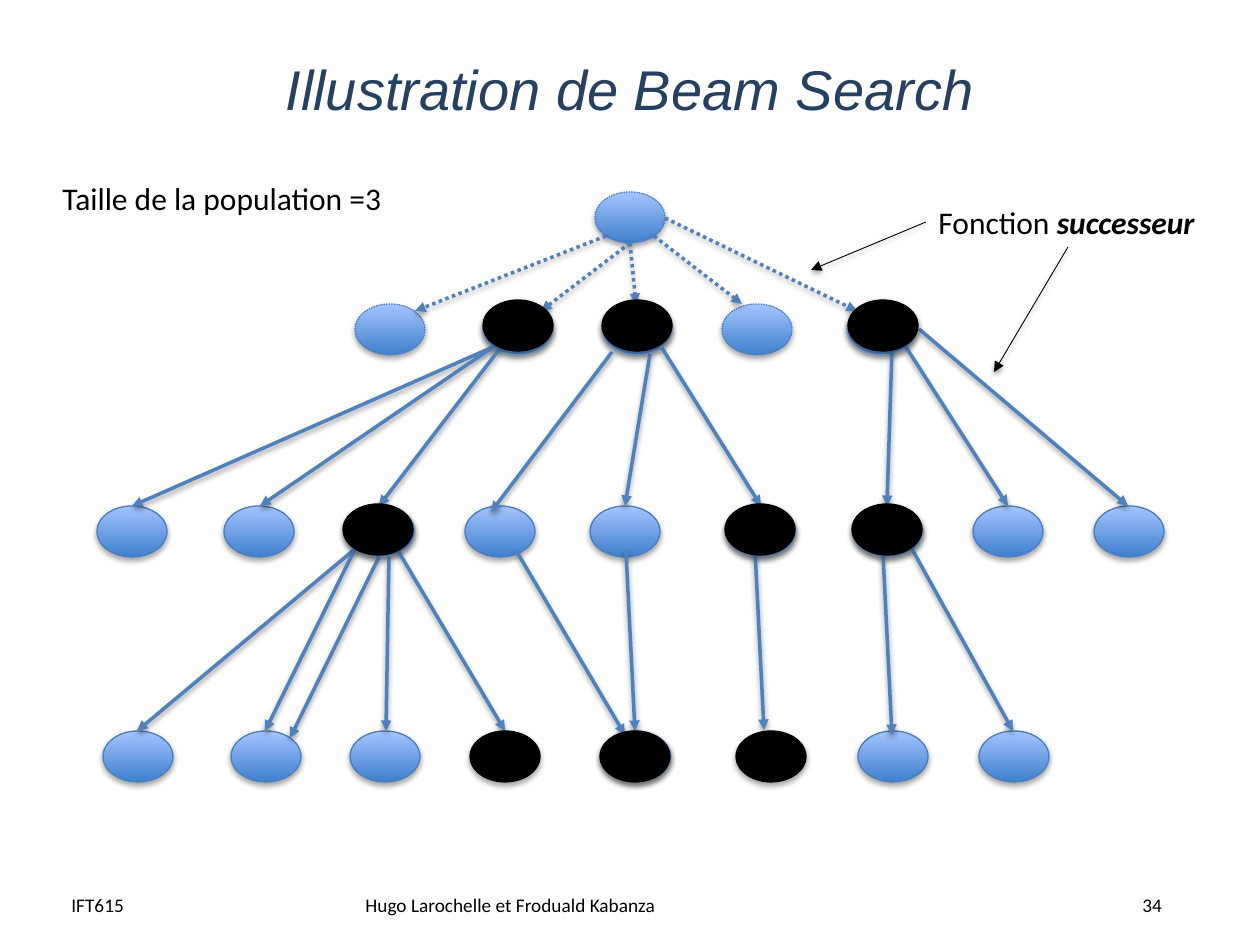
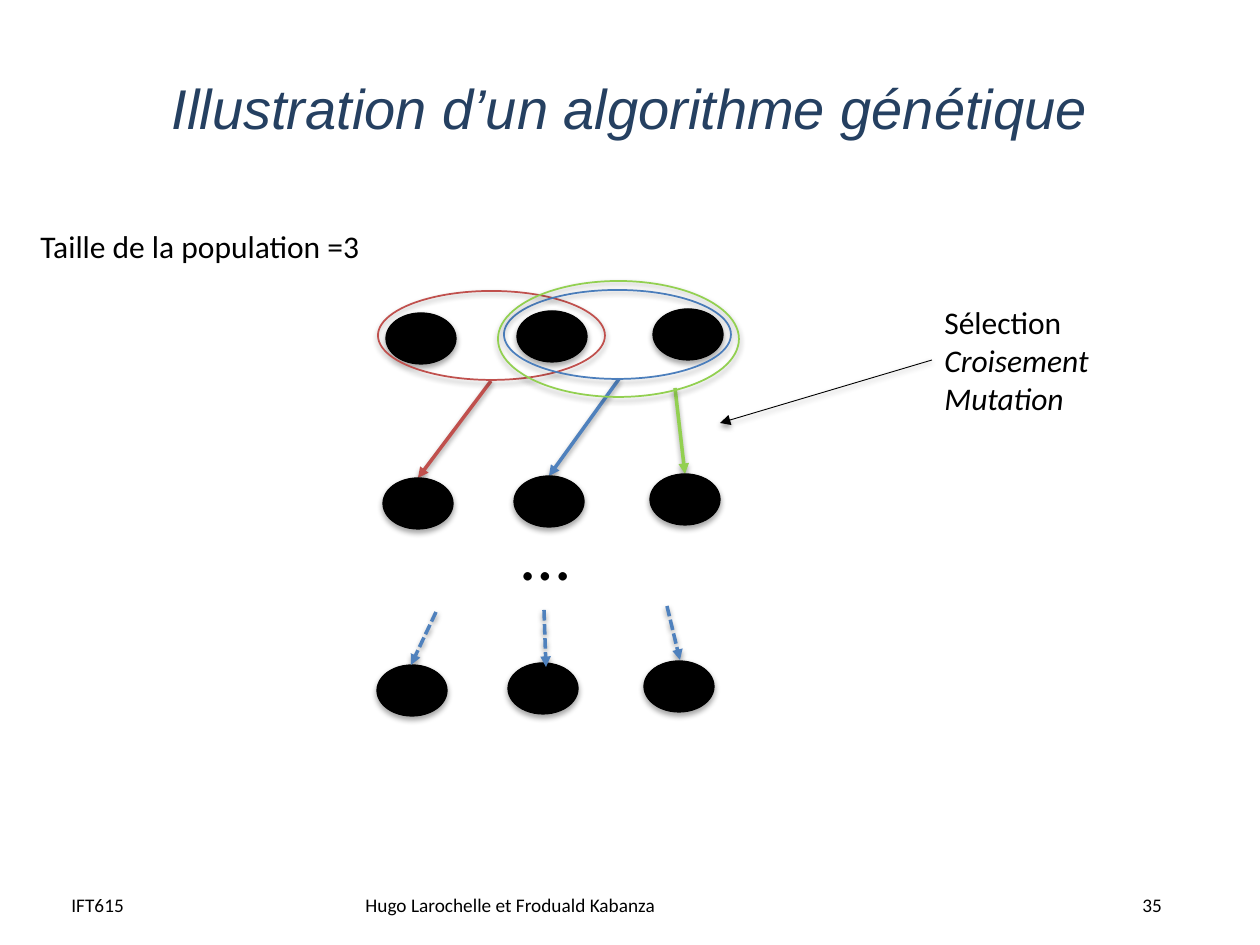
import lxml.etree
import pptx
import pptx.dml.color
import pptx.enum.dml
import pptx.enum.shapes
import pptx.enum.text
import pptx.oxml.ns
import pptx.util

PX_PER_INCH = 126
NODE_W, NODE_H = 70, 51
BLACK, NAVY, EDGE, RIM = "000000", "254061", "4F81BD", "4B7EBC"
RED, GREEN, MID, MID_RIM = "C0504D", "92D050", "558ED5", "8EB4E3"
GRADIENT = ("3F80CE", "A4C4FF")
DOT = pptx.enum.dml.MSO_LINE.ROUND_DOT
DASH = pptx.enum.dml.MSO_LINE.SQUARE_DOT
POPULATION = "Taille de la population =3"

SOFT_NODES = [(112, (258, 625)), (314, (0, 127, 368, 493, 876, 997)),
              (539, (6, 134, 253, 761, 882))]
MID_NODES = [(112, (386, 505, 750)), (314, (248, 629, 756)), (539, (504,))]
KEPT_NODES = [(108, (386, 505, 751)), (312, (246, 628, 755)),
              (539, (373, 503, 639))]
ROOT_EDGES = [(509, 44, 318, 119), (533, 51, 444, 119), (533, 51, 539, 112),
              (557, 44, 645, 112), (568, 26, 760, 119)]
TREE_EDGES = [
    (396, 155, 35, 314), (396, 155, 163, 314), (404, 155, 282, 314),
    (515, 160, 394, 320), (553, 162, 528, 314), (565, 156, 664, 314),
    (795, 158, 790, 314), (809, 155, 911, 314), (822, 137, 1031, 314),
    (258, 357, 40, 539), (258, 357, 168, 539), (282, 365, 193, 546),
    (292, 365, 289, 539), (300, 357, 408, 539), (420, 360, 528, 543),
    (529, 359, 538, 539), (658, 357, 667, 538), (786, 362, 795, 543),
    (815, 357, 916, 539)]
GENERATIONS = [(10, 28), (7, 193), (1, 380)]
INDIVIDUALS = [(0, 4), (131, 2), (267, 0)]
CROSSINGS = [(115, 100, 42, 197, RED), (299, 107, 309, 193, GREEN),
             (243, 98, 173, 195, EDGE)]
LATER_EDGES = [(60, 331, 35, 384), (168, 329, 170, 386), (291, 325, 304, 379)]
PAIRS = [(2, 10, 227, 89, RED), (128, 9, 227, 89, RIM),
         (122, 0, 241, 116, GREEN)]


def px(n):
    """Turn px into EMU."""
    return pptx.util.Emu(round(n * 914400 / PX_PER_INCH))


def rgb(color):
    """Turn a hex string into a colour."""
    return pptx.dml.color.RGBColor.from_string(color)


def add_shadow(shape, opacity, distance):
    """Give a shape or connector a soft shadow straight below it."""
    qn = pptx.oxml.ns.qn
    effects = lxml.etree.SubElement(shape._element.spPr, qn("a:effectLst"))
    shadow = lxml.etree.SubElement(
        effects, qn("a:outerShdw"), blurRad="40000", dist=str(distance),
        dir="5400000", rotWithShape="0")
    color = lxml.etree.SubElement(shadow, qn("a:srgbClr"), val=BLACK)
    lxml.etree.SubElement(color, qn("a:alpha"), val=str(opacity * 1000))


def set_line(line, color, width, dash=None):
    """Style an outline or a connector."""
    line.color.rgb = rgb(color)
    line.width = pptx.util.Pt(width)
    if dash:
        line.dash_style = dash


def add_text(s, box, paragraphs, size=18, font="Calibri", color=BLACK,
             wrap=False):
    """Add a text box from paragraphs of (text, bold, italic) runs."""
    tf = s.shapes.add_textbox(*map(px, box)).text_frame
    tf.word_wrap = wrap
    if not wrap:
        tf.auto_size = pptx.enum.text.MSO_AUTO_SIZE.SHAPE_TO_FIT_TEXT
    for i, runs in enumerate(paragraphs):
        p = tf.add_paragraph() if i else tf.paragraphs[0]
        for text, bold, italic in runs:
            r = p.add_run()
            r.text = text
            r.font.name, r.font.size = font, pptx.util.Pt(size)
            r.font.bold, r.font.italic = bold, italic
            r.font.color.rgb = rgb(color)
    return tf


def add_ellipse(s, box, fill, rim, width=0.75, dash=None):
    """Add an ellipse with a solid, gradient or empty fill."""
    sp = s.shapes.add_shape(pptx.enum.shapes.MSO_SHAPE.OVAL, *map(px, box))
    if fill is None:
        sp.fill.background()
    elif fill == GRADIENT:
        sp.fill.gradient()
        sp.fill.gradient_angle = 90
        for stop, color in zip(sp.fill.gradient_stops, fill):
            stop.color.rgb = rgb(color)
    else:
        sp.fill.solid()
        sp.fill.fore_color.rgb = rgb(fill)
    set_line(sp.line, rim, width, dash)
    add_shadow(sp, 35, 23000)


def add_node(s, x, y, fill=BLACK, rim=BLACK, dash=None):
    """Add one state node."""
    add_ellipse(s, (x, y, NODE_W, NODE_H), fill, rim, dash=dash)


def add_arrow(s, origin, ends, color=EDGE, width=2, dash=None):
    """Add an arrow whose ends are relative to an origin."""
    x, y = origin
    x1, y1, x2, y2 = ends
    c = s.shapes.add_connector(pptx.enum.shapes.MSO_CONNECTOR.STRAIGHT,
                               px(x + x1), px(y + y1), px(x + x2), px(y + y2))
    set_line(c.line, color, width, dash)
    lxml.etree.SubElement(c.line._get_or_add_ln(),
                          pptx.oxml.ns.qn("a:tailEnd"), type="triangle")
    add_shadow(c, 38, 20000)


def add_base(prs, title, title_box, number):
    """Add a slide with its title and footer."""
    s = prs.slides.add_slide(prs.slide_layouts[6])
    tf = add_text(s, title_box, [[(title, False, True)]], 32, "Arial", NAVY,
                  wrap=True)
    tf.vertical_anchor = pptx.enum.text.MSO_ANCHOR.MIDDLE
    tf.paragraphs[0].alignment = pptx.enum.text.PP_ALIGN.CENTER
    for x, w, text in [(353, 445, "Hugo Larochelle et Froduald Kabanza"),
                       (59, 108, "IFT615"), (1130, 72, str(number))]:
        add_text(s, (x, 887, w, 50), [[(text, False, False)]], 11, wrap=True)
    return s


def add_search_tree(s, x, y):
    """Draw the beam search tree from its top left corner."""
    add_node(s, x + 498, y, GRADIENT, RIM, DOT)
    for top, lefts in SOFT_NODES:
        dash = DOT if top == SOFT_NODES[0][0] else None
        for left in lefts:
            add_node(s, x + left, y + top, GRADIENT, RIM, dash)
    for top, lefts in MID_NODES:
        for left in lefts:
            add_node(s, x + left, y + top, MID, MID_RIM)
    for ends in ROOT_EDGES:
        add_arrow(s, (x, y), ends, dash=DOT)
    for ends in TREE_EDGES:
        add_arrow(s, (x, y), ends)
    for top, lefts in KEPT_NODES:
        for left in lefts:
            add_node(s, x + left, y + top)


def add_successor_note(s, x, y):
    """Add the successor label and its two pointers."""
    add_text(s, (x, y, 286, 50), [[("Fonction ", False, False),
                                   ("successeur", True, True)]])
    for ends in [(0, 25, -115, 73), (142, 50, 68, 175)]:
        add_arrow(s, (x, y), ends, BLACK, 0.5)


def add_generations(s, x, y):
    """Draw the generations and the pairs that are crossed."""
    for *ends, color in CROSSINGS:
        add_arrow(s, (x, y), ends, color)
    for left, top in GENERATIONS:
        for dx, dy in INDIVIDUALS:
            add_node(s, x + left + dx, y + top + dy)
    for left, top, w, h, color in PAIRS:
        add_ellipse(s, (x + left, y + top, w, h), None, color, 1)
    for ends in LATER_EDGES:
        add_arrow(s, (x, y), ends, dash=DASH)
    add_text(s, (x + 133, y + 223, 74, 97), [[("…", False, False)]], 40)


def add_operators_note(s, x, y):
    """Add the list of genetic operators and its pointer."""
    add_text(s, (x, y, 175, 127), [[("Sélection", False, False)],
                                   [("Croisement", False, True)],
                                   [("Mutation", False, True)]])
    add_arrow(s, (x, y), (0, 63, -212, 126), BLACK, 0.5)


def add_population_note(s, x, y):
    """Add the population size."""
    add_text(s, (x, y, 349, 50), [[(POPULATION, False, False)]])


def main():
    """Build both slides and save them."""
    prs = pptx.Presentation()
    prs.slide_width, prs.slide_height = px(1260), px(945)
    s = add_base(prs, "Illustration de Beam Search", (63, 38, 1134, 101), 34)
    add_search_tree(s, 97, 192)
    add_population_note(s, 50, 173)
    add_successor_note(s, 926, 197)
    s = add_base(prs, "Illustration d’un algorithme génétique",
                 (63, 28, 1134, 158), 35)
    add_population_note(s, 28, 221)
    add_generations(s, 376, 281)
    add_operators_note(s, 932, 297)
    prs.save("out.pptx")


if __name__ == "__main__":
    main()
